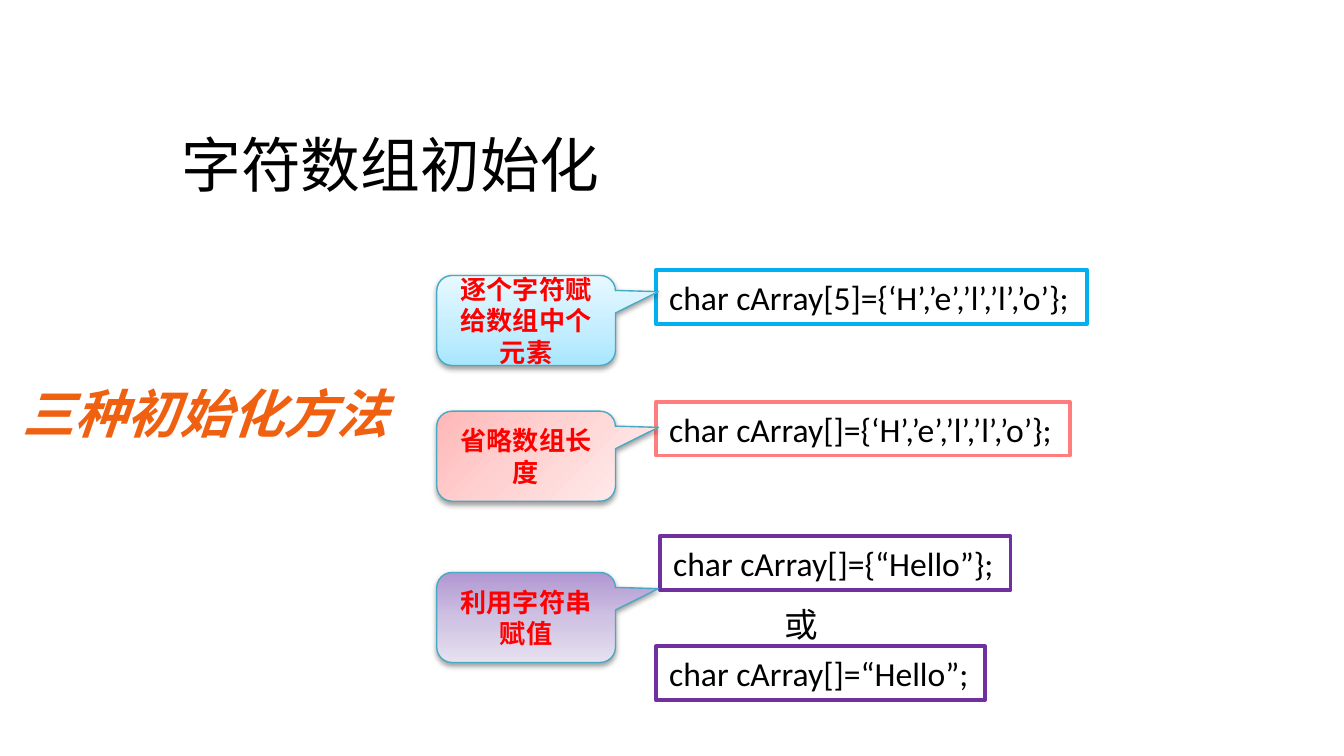
from dataclasses import dataclass

from pptx import Presentation
from pptx.dml.color import RGBColor
from pptx.enum import shapes, text
from pptx.oxml import parse_xml
from pptx.oxml.ns import nsdecls
from pptx.util import Inches, Pt


@dataclass(frozen=True)
class Theme:
    font: str = "Calibri"
    heading_font: str = "Noto Sans CJK SC"
    black: str = "000000"
    white: str = "FFFFFF"
    red: str = "FF0000"
    orange: str = "EF6011"
    teal: str = "46AAC5"
    blue: str = "00B0F0"
    pink: str = "FF7D7D"
    purple: str = "7030A0"
    title_size: int = 32
    heading_size: int = 28
    code_size: int = 18
    callout_size: int = 14


THEME = Theme()

TITLE = "字符数组初始化"
HEADING = "三种初始化方法"
OR_LABEL = "或"

# text, left, top, width, border colour
CODE_BOXES = [
    ("char cArray[5]={‘H’,’e’,’l’,’l’,’o’};", 4.88, 2.01, 3.21, THEME.blue),
    ("char cArray[]={‘H’,’e’,’l’,’l’,’o’};", 4.88, 2.99, 3.08, THEME.pink),
    ("char cArray[]={“Hello”};", 4.91, 3.99, 2.61, THEME.purple),
    ("char cArray[]=“Hello”;", 4.88, 4.81, 2.45, THEME.purple),
]
CODE_HEIGHT = 0.4

# text, top, gradient angle, gradient stops (percent, colour)
CALLOUTS = [
    ("逐个字符赋给数组中个元素", 2.05, 270, [(0, "A7E6FF"), (35, "C1EDFF"), (100, "E7F8FF")]),
    ("省略数组长度", 3.06, 45, [(0, "FFB7B7"), (50, "FFD2D2"), (100, "FFE9E9")]),
    ("利用字符串赋值", 4.26, 90, [(0, "B197D2"), (50, "CEC1E2"), (100, "E7E1F0")]),
]
CALLOUT_LEFT, CALLOUT_WIDTH, CALLOUT_HEIGHT = 3.25, 1.33, 0.67
CALLOUT_ADJUSTMENTS = (0.74, -0.32, 0.17)


def write(shape, content, size, color=THEME.black, font=THEME.font, bold=False, italic=False,
          align=text.PP_ALIGN.LEFT, anchor=text.MSO_ANCHOR.TOP, fit=False):
    """Fill the shape with one paragraph; fit keeps it on one line and sizes the shape to it."""
    frame = shape.text_frame
    frame.word_wrap = not fit
    frame.auto_size = text.MSO_AUTO_SIZE.SHAPE_TO_FIT_TEXT if fit else text.MSO_AUTO_SIZE.NONE
    frame.vertical_anchor = anchor
    paragraph = frame.paragraphs[0]
    paragraph.text = content
    paragraph.alignment = align
    paragraph.font.name = font
    paragraph.font.size = Pt(size)
    paragraph.font.bold = bold
    paragraph.font.italic = italic
    paragraph.font.color.rgb = RGBColor.from_string(color)


def add_outlined(slide, preset, place, line_color, line_width):
    shape = slide.shapes.add_shape(preset, *map(Inches, place))
    shape.shadow.inherit = False
    shape.line.color.rgb = RGBColor.from_string(line_color)
    shape.line.width = Pt(line_width)
    return shape


def add_white_box(slide, preset, place, line_color):
    shape = add_outlined(slide, preset, place, line_color, 2)
    shape.fill.solid()
    shape.fill.fore_color.rgb = RGBColor.from_string(THEME.white)
    return shape


def set_gradient(shape, angle, stops):
    stop_xml = "".join(f'<a:gs pos="{percent * 1000}"><a:srgbClr val="{color}"/></a:gs>'
                       for percent, color in stops)
    gradient = parse_xml(f'<a:gradFill {nsdecls("a")} rotWithShape="1"><a:gsLst>{stop_xml}</a:gsLst>'
                         f'<a:lin ang="{angle * 60000}" scaled="1"/></a:gradFill>')
    shape.element.spPr.find("{*}prstGeom").addnext(gradient)


def set_soft_shadow(shape):
    effects = shape.element.spPr.find("{*}effectLst")
    effects.append(parse_xml(
        f'<a:outerShdw {nsdecls("a")} blurRad="{Pt(3.1)}" dist="{Pt(1.6)}" dir="5400000" rotWithShape="0">'
        f'<a:srgbClr val="{THEME.black}"><a:alpha val="38000"/></a:srgbClr></a:outerShdw>'))


def add_callout(slide, content, top, angle, stops):
    place = (CALLOUT_LEFT, top, CALLOUT_WIDTH, CALLOUT_HEIGHT)
    shape = add_outlined(slide, shapes.MSO_SHAPE.ROUNDED_RECTANGULAR_CALLOUT, place, THEME.teal, 0.75)
    for index, value in enumerate(CALLOUT_ADJUSTMENTS):
        shape.adjustments[index] = value
    set_gradient(shape, angle, stops)
    set_soft_shadow(shape)
    write(shape, content, THEME.callout_size, THEME.red, bold=True,
          align=text.PP_ALIGN.CENTER, anchor=text.MSO_ANCHOR.MIDDLE)


def main():
    presentation = Presentation()
    presentation.slide_width = Inches(10)
    presentation.slide_height = presentation.slide_width * 9 // 16
    slide = presentation.slides.add_slide(presentation.slide_layouts[5])

    title = slide.shapes.title
    title.left, title.top, title.width, title.height = map(Inches, (1.25, 0.88, 6.08, 0.67))
    write(title, TITLE, THEME.title_size, anchor=text.MSO_ANCHOR.MIDDLE)

    for content, left, top, width, border in CODE_BOXES[:3]:
        add_code_box(slide, content, left, top, width, border)

    heading = slide.shapes.add_textbox(*map(Inches, (0.07, 2.79, 2.95, 0.57)))
    write(heading, HEADING, THEME.heading_size, THEME.orange, THEME.heading_font,
          bold=True, italic=True, fit=True)

    for callout in CALLOUTS:
        add_callout(slide, *callout)

    add_code_box(slide, *CODE_BOXES[3])

    or_box = add_white_box(slide, shapes.MSO_SHAPE.FLOWCHART_PROCESS, (5.67, 4.52, 0.58, 0.25), THEME.white)
    write(or_box, OR_LABEL, THEME.code_size,
          align=text.PP_ALIGN.CENTER, anchor=text.MSO_ANCHOR.MIDDLE)

    presentation.save("out.pptx")


def add_code_box(slide, content, left, top, width, border):
    box = add_white_box(slide, shapes.MSO_SHAPE.RECTANGLE, (left, top, width, CODE_HEIGHT), border)
    write(box, content, THEME.code_size, fit=True)


if __name__ == "__main__":
    main()
